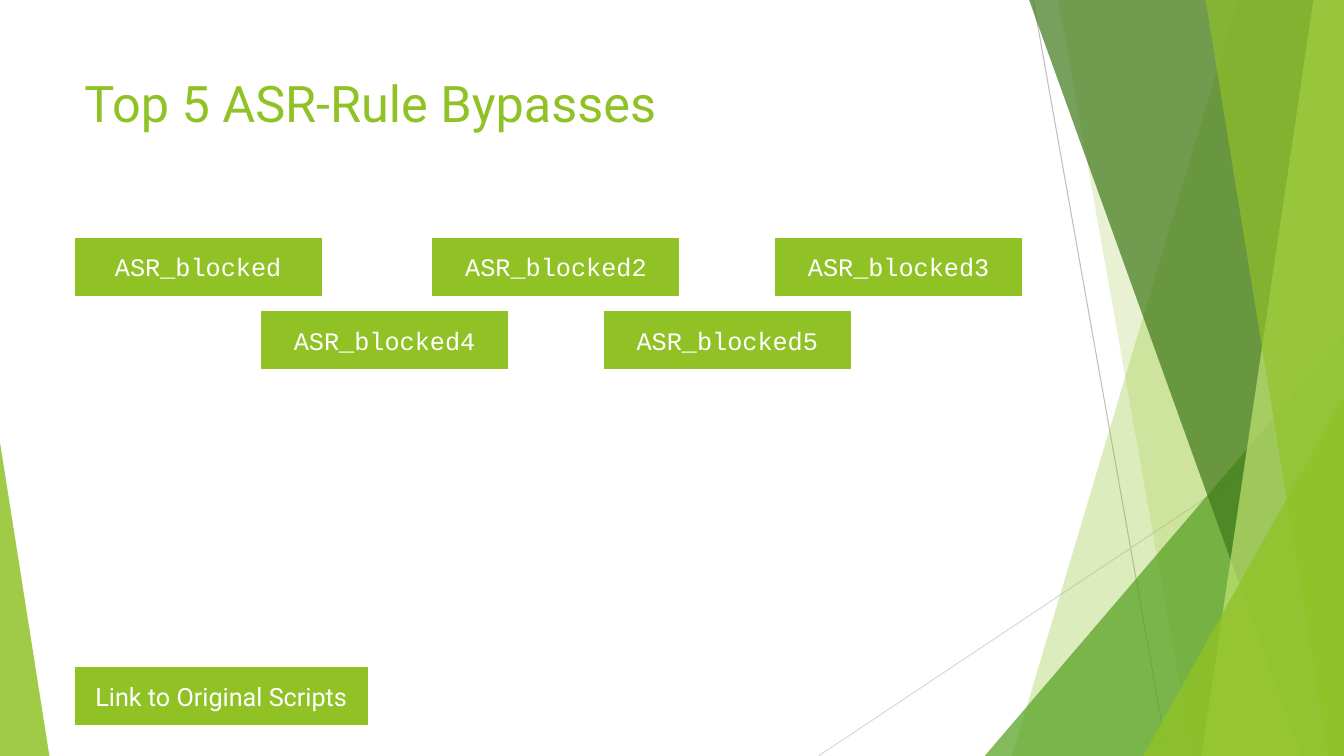
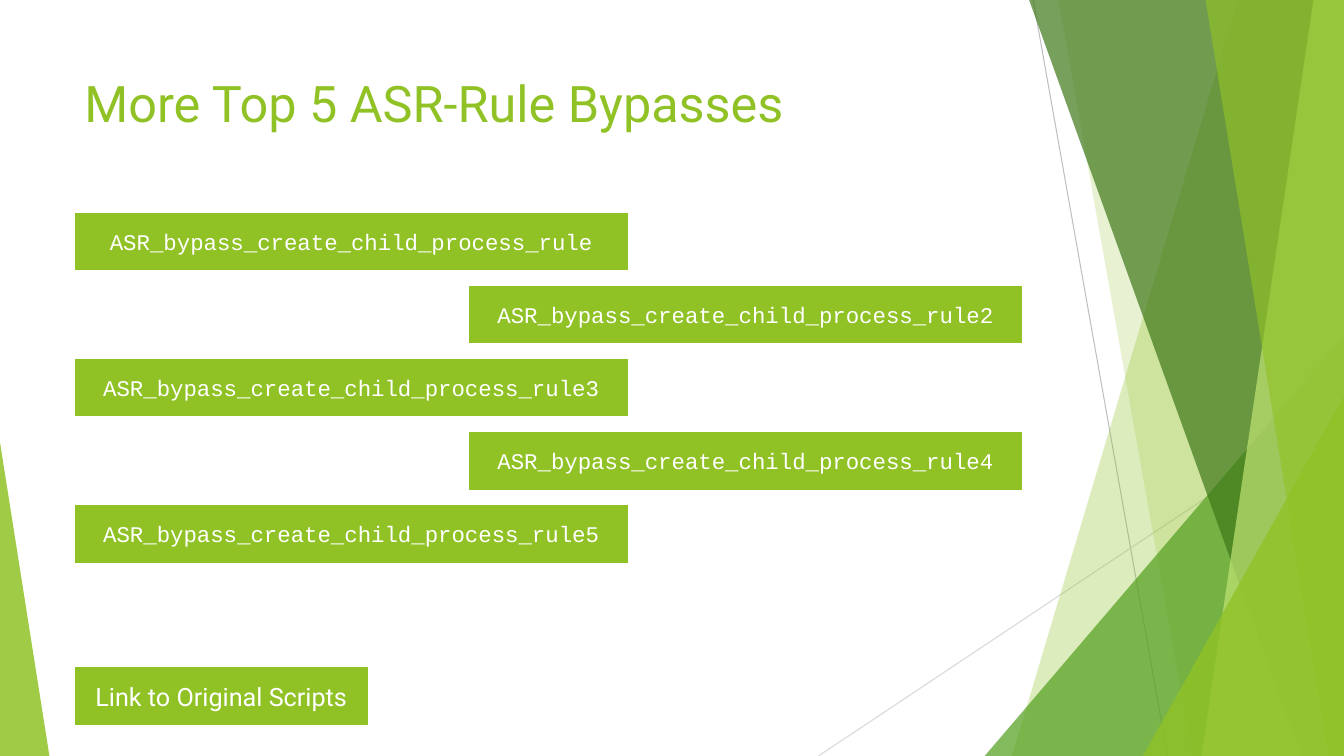
from lxml import etree
from pptx import Presentation
from pptx.dml.color import RGBColor
from pptx.enum.shapes import MSO_CONNECTOR, MSO_SHAPE
from pptx.enum.text import MSO_ANCHOR, PP_ALIGN
from pptx.oxml.ns import qn
from pptx.util import Pt

STRAIGHT = MSO_CONNECTOR.STRAIGHT
TRIANGLE = MSO_SHAPE.ISOSCELES_TRIANGLE
BUTTON = MSO_SHAPE.ACTION_BUTTON_CUSTOM
TOP, MIDDLE = MSO_ANCHOR.TOP, MSO_ANCHOR.MIDDLE
LEFT, CENTER = PP_ALIGN.LEFT, PP_ALIGN.CENTER

WIDTH, HEIGHT = 960, 540
MARGIN, RIGHT = 53.3, 730.1
BUTTON_HEIGHT, ROW_STEP = 41.2, 52.2
LIME, GREEN, DARK, PALE, WHITE = "90C226", "54A021", "3F7819", "C0E474", "FFFFFF"
SANS, MONO = "Roboto", "Courier New"


def color(value):
    return RGBColor.from_string(value)


class Deck:
    """Holds the shared style and the current slide."""

    def __init__(self):
        self.presentation = Presentation()
        self.presentation.slide_width = Pt(WIDTH)
        self.presentation.slide_height = Pt(HEIGHT)
        self.slide = None

    def add_slide(self, title):
        """Starts a slide with the facets, the title and the scripts button."""
        self.slide = self.presentation.slides.add_slide(self.presentation.slide_layouts[6])
        self.facets()
        self.title(title)
        self.button("Link to Original Scripts", MARGIN, 476.6, 209.5, 18, SANS)

    def paint(self, shape, fill, opacity=100):
        shape.shadow.inherit = False
        shape.line.fill.background()
        shape.fill.solid()
        shape.fill.fore_color.rgb = color(fill)
        if opacity < 100:
            fill_color = next(shape._element.spPr.iter(qn("a:srgbClr")))
            etree.SubElement(fill_color, qn("a:alpha")).set("val", str(opacity * 1000))

    def set_text(self, shape, text, size, font, ink, align, anchor):
        frame = shape.text_frame
        frame.text = text
        frame.word_wrap = True
        frame.vertical_anchor = anchor
        paragraph = frame.paragraphs[0]
        paragraph.alignment = align
        run_font = paragraph.runs[0].font
        run_font.size, run_font.name = Pt(size), font
        run_font.color.rgb = color(ink)

    def line(self, x1, y1, x2, y2, ink):
        connector = self.slide.shapes.add_connector(STRAIGHT, Pt(x1), Pt(y1), Pt(x2), Pt(y2))
        connector.line.color.rgb = color(ink)
        connector.line.width = Pt(0.75)
        etree.SubElement(connector._element.spPr, qn("a:effectLst"))

    def band(self, top_x, bottom_x, fill, opacity):
        """Fills from a slanted edge to the right side of the slide."""
        builder = self.slide.shapes.build_freeform(Pt(top_x), 0)
        corners = [(WIDTH, 0), (WIDTH, HEIGHT), (bottom_x, HEIGHT)]
        builder.add_line_segments([(Pt(x), Pt(y)) for x, y in corners], close=True)
        self.paint(builder.convert_to_shape(), fill, opacity)

    def triangle(self, left, top, right, apex, fill, opacity):
        """Stands on the bottom edge; apex is 0 at its left, 1 at its right."""
        shape = self.slide.shapes.add_shape(
            TRIANGLE, Pt(left), Pt(top), Pt(right - left), Pt(HEIGHT - top))
        shape.adjustments[0] = apex
        self.paint(shape, fill, opacity)

    def facets(self):
        self.line(738, 0, 834, HEIGHT, "BFBFBF")
        self.line(WIDTH, 290, 584.6, HEIGHT, "D9D9D9")
        self.band(884.2, 722.9, LIME, 30)
        self.band(756, 851.8, LIME, 20)
        self.triangle(703.4, 239.8, WIDTH, 1, GREEN, 72)
        self.band(735.1, 929.5, DARK, 70)
        self.band(938.2, 858.2, PALE, 70)
        self.band(861.1, 949, LIME, 65)
        self.triangle(816.5, 283, WIDTH, 1, LIME, 80)
        self.triangle(0, 316, 35.3, 0, LIME, 85)

    def title(self, text):
        box = self.slide.shapes.add_textbox(Pt(MARGIN), Pt(48), Pt(RIGHT - MARGIN), Pt(104))
        self.set_text(box, text, 36, SANS, LIME, LEFT, TOP)

    def button(self, text, left, top, width, size, font=MONO):
        shape = self.slide.shapes.add_shape(
            BUTTON, Pt(left), Pt(top), Pt(width), Pt(BUTTON_HEIGHT))
        self.paint(shape, LIME)
        self.set_text(shape, text, size, font, WHITE, CENTER, MIDDLE)


def blocked_slide(deck):
    deck.add_slide("Top 5 ASR-Rule Bypasses")
    width, pitch, top = 176.4, 244.8, 170
    last = RIGHT - width
    second_row = last - 1.5 * pitch
    rows = [[MARGIN, last - pitch, last], [second_row, second_row + pitch]]
    number = 0
    for row, lefts in enumerate(rows):
        for left in lefts:
            number += 1
            suffix = number if number > 1 else ""
            deck.button(f"ASR_blocked{suffix}", left, top + row * ROW_STEP, width, 18)


def child_process_slide(deck):
    deck.add_slide("More Top 5 ASR-Rule Bypasses")
    width, top = 395.2, 151.9
    for row in range(5):
        left = RIGHT - width if row % 2 else MARGIN
        suffix = row + 1 if row else ""
        deck.button(f"ASR_bypass_create_child_process_rule{suffix}",
                    left, top + row * ROW_STEP, width, 16)


def main():
    deck = Deck()
    blocked_slide(deck)
    child_process_slide(deck)
    deck.presentation.save("out.pptx")


if __name__ == "__main__":
    main()
